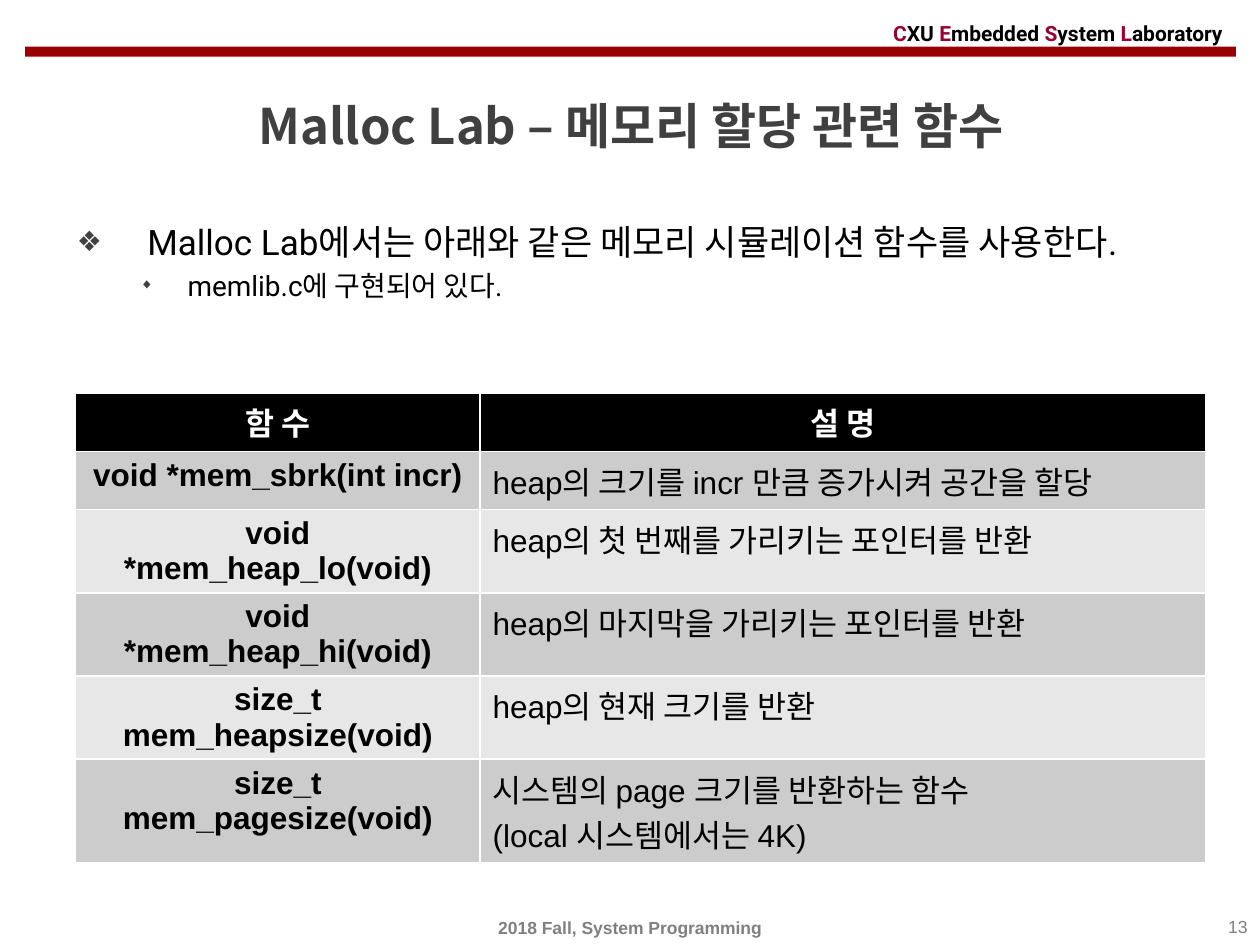
"""Build the Malloc Lab slide on memory allocation functions."""
from lxml.etree import SubElement
from pptx import Presentation
from pptx.dml.color import RGBColor
from pptx.enum.shapes import MSO_SHAPE
from pptx.enum.text import MSO_ANCHOR as ANCHOR, MSO_AUTO_SIZE as FIT, PP_ALIGN as ALIGN
from pptx.oxml.ns import qn
from pptx.util import Inches, Pt

KOREAN = "Noto Sans CJK KR"


def paint(fmt, hex_color):
    if hasattr(fmt, "solid"):
        fmt.solid()
        fmt = fmt.fore_color
    fmt.rgb = RGBColor.from_string(hex_color)


def write(p, text, size=18, font="Arial", color="000000", bold=False, align=None):
    if align is not None:
        p.alignment = align
    r = p.add_run()
    r.text = text
    r.font.size, r.font.name, r.font.bold = Pt(size), font, bold
    paint(r.font.color, color)
    SubElement(r.font._element, qn("a:ea"), typeface=KOREAN)


prs = Presentation()
prs.slide_width, prs.slide_height = Inches(10), Inches(7.5)
col, row = prs.slide_width // 100, prs.slide_height // 75
s = prs.slides.add_slide(prs.slide_layouts[1])
title, body = s.placeholders[0], s.placeholders[1]

bar = s.shapes.add_shape(MSO_SHAPE.RECTANGLE, 2 * col, int(3.7 * row),
                         int(96.1 * col), int(0.8 * row))
bar.shadow.inherit = False
paint(bar.fill, "990000")
bar.line.fill.background()

lab = s.shapes.add_textbox(0, 0, col, row)
footer = s.shapes.add_textbox(0, 0, col, row)
number = s.shapes.add_textbox(0, 0, col, row)
for sp, x, y, w, h, anchor in [
    (lab, 69.9, 1.2, 30.1, 2.8, ANCHOR.MIDDLE),
    (title, 2.1, 6, 96, 7.9, ANCHOR.MIDDLE),
    (body, 5.1, 17, 90.6, 52.8, ANCHOR.TOP),
    (footer, 0, 72.2, 100, 2.8, ANCHOR.MIDDLE),
    (number, 76.7, 72.2, 23.3, 2.8, ANCHOR.TOP),
]:
    sp.left, sp.top, sp.width, sp.height = int(x * col), int(y * row), int(w * col), int(h * row)
    tf = sp.text_frame
    tf.word_wrap, tf.auto_size, tf.vertical_anchor = True, FIT.NONE, anchor

for word in ["CXU ", "Embedded ", "System ", "Laboratory"]:
    for text, color in [(word[0], "990033"), (word[1:], "000000")]:
        write(lab.text_frame.paragraphs[0], text, size=12, font="Roboto", color=color, bold=True)
write(title.text_frame.paragraphs[0], "Malloc Lab – 메모리 할당 관련 함수",
      size=28, font=KOREAN, color="404040", bold=True, align=ALIGN.CENTER)
write(footer.text_frame.paragraphs[0], "2018 Fall, System Programming",
      size=10, color="808080", bold=True, align=ALIGN.CENTER)
write(number.text_frame.paragraphs[0], "13", size=10, color="808080", align=ALIGN.RIGHT)

for level, (text, size, margin, hang, mark, share) in enumerate([
    ("Malloc Lab에서는 아래와 같은 메모리 시뮬레이션 함수를 사용한다.", 20, 0.56, 0.56, "❖", 80),
    ("memlib.c에 구현되어 있다.", 16, 0.88, 0.38, "◆", 50),
]):
    tf = body.text_frame
    p = tf.add_paragraph() if level else tf.paragraphs[0]
    p.level = level
    p.space_before = Pt(size * 0.2)
    write(p, text, size=size, font="Roboto")
    pPr = p._p.get_or_add_pPr()
    pPr.set("marL", str(Inches(margin)))
    pPr.set("indent", str(-Inches(hang)))
    SubElement(SubElement(pPr, qn("a:buClr")), qn("a:srgbClr"), val="404040")
    SubElement(pPr, qn("a:buSzPct"), val=str(share * 1000))
    SubElement(pPr, qn("a:buFont"), typeface="Arial")
    SubElement(pPr, qn("a:buChar"), char=mark)

rows = [
    ("함 수", "설 명"),
    ("void *mem_sbrk(int incr)", "heap의 크기를 incr 만큼 증가시켜 공간을 할당"),
    ("void *mem_heap_lo(void)", "heap의 첫 번째를 가리키는 포인터를 반환"),
    ("void *mem_heap_hi(void)", "heap의 마지막을 가리키는 포인터를 반환"),
    ("size_t mem_heapsize(void)", "heap의 현재 크기를 반환"),
    ("size_t mem_pagesize(void)", "시스템의 page 크기를 반환하는 함수\n(local 시스템에서는 4K)"),
]
table = s.shapes.add_table(len(rows), 2, 6 * col, int(31.2 * row),
                           int(89.7 * col), int(27.5 * row)).table
table.columns[0].width, table.columns[1].width = int(32.1 * col), int(57.6 * col)
for i, texts in enumerate(rows):
    table.rows[i].height = int((7 if i == len(rows) - 1 else 4.1) * row)
    for j, text in enumerate(texts):
        cell = table.cell(i, j)
        paint(cell.fill, "000000" if i == 0 else "CCCCCC" if i % 2 else "E7E7E7")
        tf = cell.text_frame
        for n, line in enumerate(text.split("\n")):
            p = tf.add_paragraph() if n else tf.paragraphs[0]
            heading = i == 0 or j == 0
            write(p, line, color="000000" if i else "FFFFFF", bold=heading,
                  align=ALIGN.CENTER if heading else ALIGN.LEFT)

prs.save("out.pptx")
